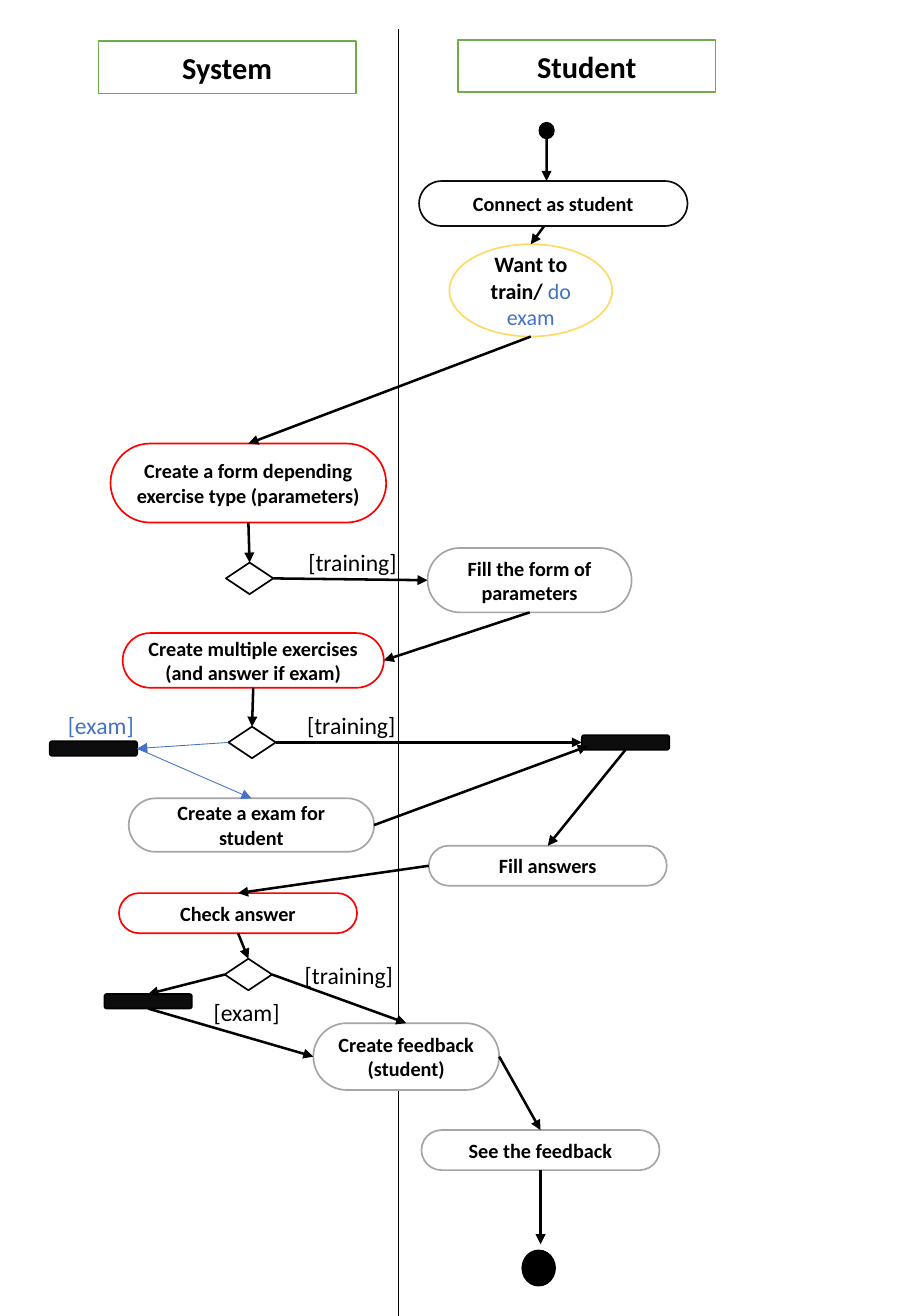
from dataclasses import dataclass

from pptx import Presentation
from pptx.dml.color import RGBColor
from pptx.enum.shapes import MSO_CONNECTOR, MSO_SHAPE
from pptx.enum.text import MSO_ANCHOR, PP_ALIGN
from pptx.oxml.ns import qn
from pptx.util import Inches, Pt
from lxml.etree import SubElement

WIDTH, HEIGHT, DIVIDER = 7.5, 10.83, 3.28
TOP, LEFT, BOTTOM, RIGHT = range(4)


@dataclass(frozen=True)
class Theme:
    """Colours, font and sizes of the activity diagram."""
    font: str = "Calibri"
    header: int = 18
    label: int = 14
    choice: int = 13
    activity: int = 12
    outline: float = 1
    flow: float = 1.5
    exam_flow: float = 0.5
    black: str = "000000"
    white: str = "FFFFFF"
    bar: str = "0D0D0D"
    green: str = "70AD47"
    red: str = "FF0000"
    grey: str = "A5A5A5"
    yellow: str = "FFD966"
    blue: str = "4472C4"


THEME = Theme()


def write(shape, *runs, size, bold=False, color=THEME.black,
          align=PP_ALIGN.CENTER, anchor=MSO_ANCHOR.MIDDLE):
    """Write runs into a shape; a run is text or (text, bold, color)."""
    frame = shape.text_frame
    frame.word_wrap = True
    frame.vertical_anchor = anchor
    paragraph = frame.paragraphs[0]
    paragraph.alignment = align
    for item in runs:
        text, weight, ink = (item, bold, color) if isinstance(item, str) else item
        run = paragraph.add_run()
        run.text = text
        run.font.name, run.font.size, run.font.bold = THEME.font, Pt(size), weight
        run.font.color.rgb = RGBColor.from_string(ink)


def add_node(slide, kind, box, fill=THEME.white, line=THEME.black):
    """Add a filled and outlined preset shape."""
    node = slide.shapes.add_shape(kind, *map(Inches, box))
    node.shadow.inherit = False
    node.fill.solid()
    node.fill.fore_color.rgb = RGBColor.from_string(fill)
    node.line.color.rgb = RGBColor.from_string(line)
    node.line.width = Pt(THEME.outline)
    return node


def add_activity(slide, box, text, line):
    """Add a pill-shaped activity."""
    pill = add_node(slide, MSO_SHAPE.ROUNDED_RECTANGLE, box, line=line)
    pill.adjustments[0] = 0.5
    write(pill, text, size=THEME.activity, bold=True)
    return pill


def add_dot(slide, box):
    """Add a start or end dot."""
    return add_node(slide, MSO_SHAPE.OVAL, box, fill=THEME.black)


def add_bar(slide, left, top):
    """Add a black synchronisation bar."""
    return add_node(slide, MSO_SHAPE.ROUNDED_RECTANGLE, (left, top, 0.72, 0.12), fill=THEME.bar)


def add_decision(slide, left, top):
    """Add a decision diamond."""
    return add_node(slide, MSO_SHAPE.FLOWCHART_DECISION, (left, top, 0.39, 0.26))


def add_guard(slide, left, top, text, color=THEME.black):
    """Add a guard condition beside a flow."""
    guard = slide.shapes.add_textbox(*map(Inches, (left, top, 1, 0.34)))
    write(guard, text, size=THEME.label, color=color,
          align=PP_ALIGN.LEFT, anchor=MSO_ANCHOR.TOP)


def add_line(slide, start, end, color=THEME.black, width=THEME.outline):
    """Add a straight line without shadow between two points in EMU."""
    line = slide.shapes.add_connector(MSO_CONNECTOR.STRAIGHT, *start, *end)
    line.line.color.rgb = RGBColor.from_string(color)
    line.line.width = Pt(width)
    SubElement(line._element.spPr, qn("a:effectLst"))
    return line


def locate(end):
    """Return the EMU point of an (x, y) pair or a (node, side) pair."""
    node, side = end
    if isinstance(node, (int, float)):
        return Inches(node), Inches(side)
    across, down = {TOP: (1, 0), LEFT: (0, 1), BOTTOM: (1, 2), RIGHT: (2, 1)}[side]
    return node.left + node.width * across // 2, node.top + node.height * down // 2


def can_glue(end):
    """Tell whether an end sits on a shape with four connection sites."""
    node = end[0]
    return not isinstance(node, (int, float)) and node.auto_shape_type != MSO_SHAPE.OVAL


def add_flow(slide, start, end, color=THEME.black, width=THEME.flow):
    """Add an arrow, glued to its nodes where possible."""
    arrow = add_line(slide, locate(start), locate(end), color, width)
    if can_glue(start):
        arrow.begin_connect(*start)
    if can_glue(end):
        arrow.end_connect(*end)
    SubElement(arrow.line._get_or_add_ln(), qn("a:tailEnd"), type="triangle")


def add_header(slide, box, text):
    """Add the heading of a lane."""
    header = add_node(slide, MSO_SHAPE.RECTANGLE, box, line=THEME.green)
    write(header, text, size=THEME.header, bold=True)


def system_lane(slide, box):
    """Place the system's nodes and guards; return the nodes by name."""
    x, y = box[:2]
    add_header(slide, (x + 0.81, y + 0.34, 2.12, 0.43), "System")
    activities = {
        "form": ((0.91, 3.65, 2.27, 0.65),
                 "Create a form depending exercise type (parameters)", THEME.red),
        "exercises": ((1.01, 5.21, 2.15, 0.45),
                      "Create multiple exercises (and answer if exam)", THEME.red),
        "exam": ((1.06, 6.57, 2.02, 0.44), "Create a exam for student", THEME.grey),
        "check": ((0.98, 7.35, 1.96, 0.33), "Check answer", THEME.red),
        "feedback": ((2.58, 8.42, 1.53, 0.55), "Create feedback (student)", THEME.grey),
    }
    nodes = {name: add_activity(slide, (x + left, y + top, w, h), text, line)
             for name, ((left, top, w, h), text, line) in activities.items()}
    for name, left, top in (("form_type", 1.86, 4.63), ("exercise_type", 1.88, 5.98),
                            ("answer_type", 1.85, 7.89)):
        nodes[name] = add_decision(slide, x + left, y + top)
    for name, left, top in (("exam_bar", 0.41, 6.1), ("check_bar", 0.86, 8.18)):
        nodes[name] = add_bar(slide, x + left, y + top)
    for left, top in ((2.44, 4.46), (2.43, 5.8), (2.41, 7.86)):
        add_guard(slide, x + left, y + top, "[training]")
    add_guard(slide, x + 0.46, y + 5.8, "[exam]", THEME.blue)
    add_guard(slide, x + 1.66, y + 8.16, "[exam]")
    return nodes


def student_lane(slide, box):
    """Place the student's nodes; return them by name."""
    x, y = box[:2]
    add_header(slide, (x + 0.49, y + 0.33, 2.12, 0.43), "Student")
    activities = {
        "connect": ((0.17, 1.49, 2.21, 0.37), "Connect as student", THEME.bar),
        "fill_form": ((0.24, 4.51, 1.68, 0.53), "Fill the form of parameters", THEME.grey),
        "fill_answers": ((0.25, 6.96, 1.96, 0.33), "Fill answers", THEME.grey),
        "see": ((0.19, 9.3, 1.96, 0.33), "See the feedback", THEME.grey),
    }
    nodes = {name: add_activity(slide, (x + left, y + top, w, h), text, line)
             for name, ((left, top, w, h), text, line) in activities.items()}
    nodes["start"] = add_dot(slide, (x + 1.16, y + 1.01, 0.12, 0.13))
    nodes["end"] = add_dot(slide, (x + 1.02, y + 10.29, 0.27, 0.29))
    nodes["answer_bar"] = add_bar(slide, x + 1.51, y + 6.05)
    nodes["choice"] = add_node(slide, MSO_SHAPE.OVAL, (x + 0.42, y + 2.01, 1.34, 0.76),
                               line=THEME.yellow)
    write(nodes["choice"], "Want to train/ ", ("do exam", False, THEME.blue),
          size=THEME.choice, bold=True)
    return nodes


def draw_flows(slide, system, student):
    """Connect the activities of both lanes in order."""
    s, t = system, student
    flows = [
        ((t["start"], BOTTOM), (4.5, 1.49)),
        ((4.48, 1.86), (t["choice"], TOP)),
        ((t["choice"], BOTTOM), (s["form"], TOP)),
        ((s["form"], BOTTOM), (s["form_type"], TOP)),
        ((s["form_type"], RIGHT), (t["fill_form"], LEFT)),
        ((t["fill_form"], BOTTOM), (s["exercises"], RIGHT)),
        ((s["exercises"], BOTTOM), (s["exercise_type"], TOP)),
        ((s["exercise_type"], RIGHT), (t["answer_bar"], LEFT)),
        ((s["exam"], RIGHT), (4.84, 6.14)),
        ((t["answer_bar"], BOTTOM), (t["fill_answers"], TOP)),
        ((t["fill_answers"], LEFT), (s["check"], TOP)),
        ((s["check"], BOTTOM), (s["answer_type"], TOP)),
        ((s["answer_type"], LEFT), (s["check_bar"], TOP)),
        ((s["answer_type"], RIGHT), (s["feedback"], TOP)),
        ((s["check_bar"], BOTTOM), (s["feedback"], LEFT)),
        ((s["feedback"], RIGHT), (t["see"], TOP)),
        ((t["see"], BOTTOM), (4.45, 10.24)),
    ]
    for start, end in flows:
        add_flow(slide, start, end)
    for start, end in (((s["exercise_type"], LEFT), (s["exam_bar"], RIGHT)),
                       ((s["exam_bar"], RIGHT), (s["exam"], TOP))):
        add_flow(slide, start, end, THEME.blue, THEME.exam_flow)


deck = Presentation()
deck.slide_width, deck.slide_height = Inches(WIDTH), Inches(HEIGHT)
diagram = deck.slides.add_slide(deck.slide_layouts[6])
add_line(diagram, locate((DIVIDER, 0.24)), locate((DIVIDER, HEIGHT)))
system_nodes = system_lane(diagram, (0, 0, DIVIDER, HEIGHT))
student_nodes = student_lane(diagram, (DIVIDER, 0, WIDTH - DIVIDER, HEIGHT))
draw_flows(diagram, system_nodes, student_nodes)
deck.save("out.pptx")
